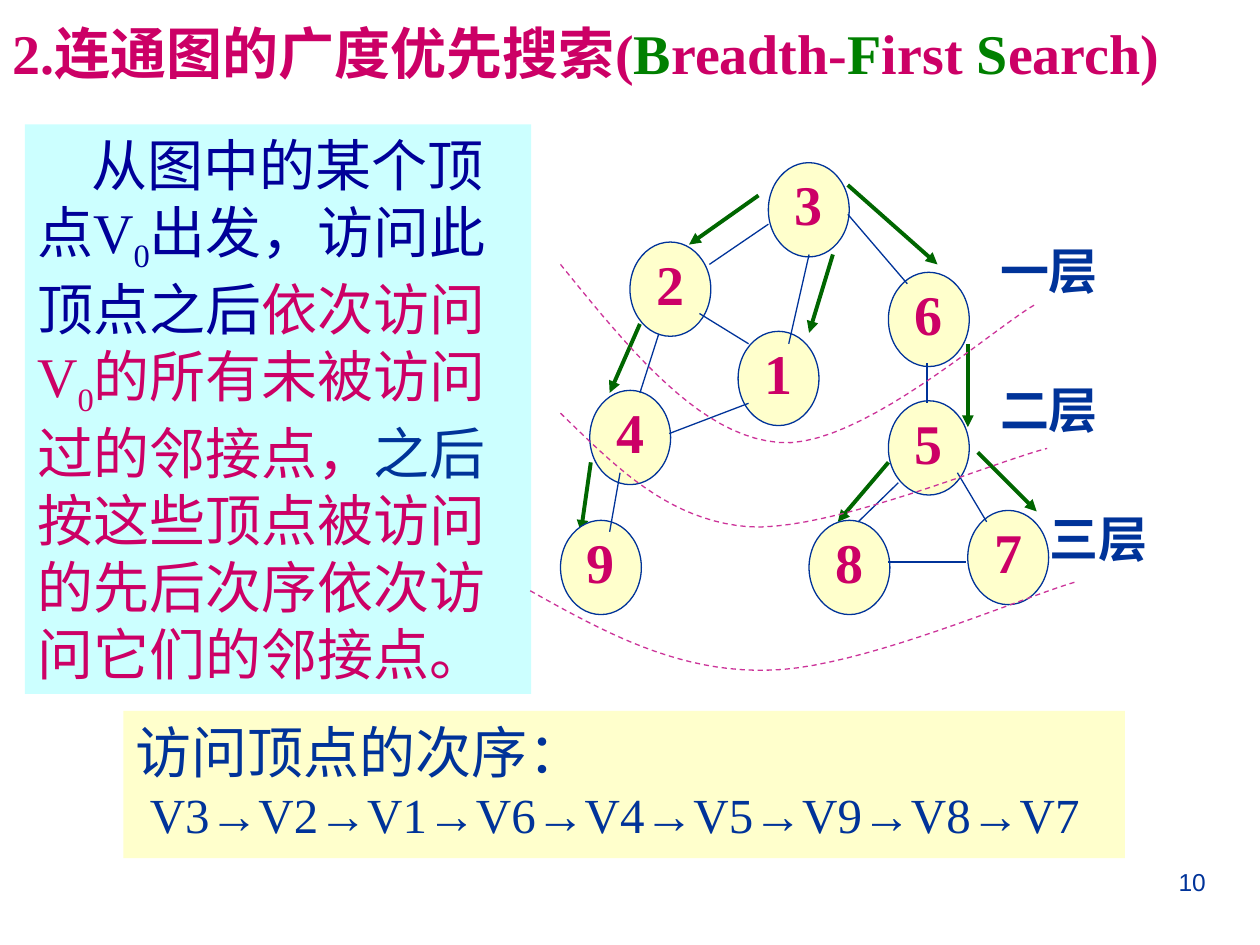
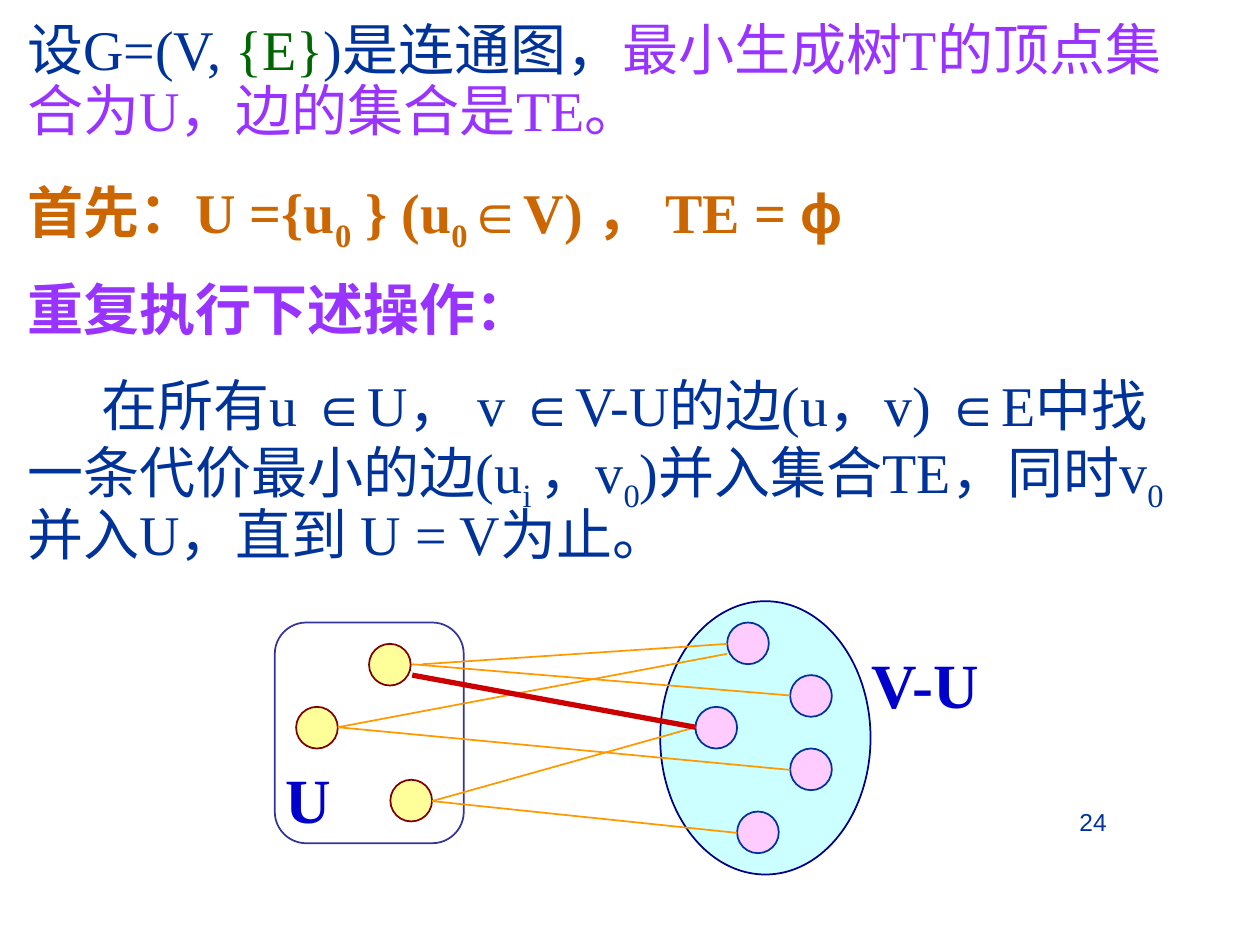
import typing

import pptx
import pptx.dml.color
import pptx.enum.dml
import pptx.enum.shapes
import pptx.enum.text
import pptx.oxml
import pptx.oxml.ns
import pptx.util

Cm = pptx.util.Cm
Pt = pptx.util.Pt
RGBColor = pptx.dml.color.RGBColor
SHAPE = pptx.enum.shapes.MSO_SHAPE
ALIGN = pptx.enum.text.PP_ALIGN
ANCHOR = pptx.enum.text.MSO_ANCHOR

BLUE = RGBColor(0x00, 0x33, 0x99)
NAVY = RGBColor(0x00, 0x00, 0x99)
DARK_NAVY = RGBColor(0x00, 0x00, 0x82)
INDIGO = RGBColor(0x33, 0x33, 0x99)
BRIGHT_BLUE = RGBColor(0x00, 0x00, 0xCC)
CRIMSON = RGBColor(0xCC, 0x00, 0x66)
MAGENTA = RGBColor(0xCC, 0x33, 0x99)
PURPLE = RGBColor(0x99, 0x33, 0xFF)
GREEN = RGBColor(0x00, 0x80, 0x00)
DARK_GREEN = RGBColor(0x00, 0x66, 0x00)
BROWN = RGBColor(0xCC, 0x66, 0x00)
ORANGE = RGBColor(0xFF, 0x99, 0x00)
RED = RGBColor(0xCC, 0x00, 0x00)
MAROON = RGBColor(0x80, 0x00, 0x00)
CYAN = RGBColor(0xCC, 0xFF, 0xFF)
CREAM = RGBColor(0xFF, 0xFF, 0xCC)
YELLOW = RGBColor(0xFF, 0xFF, 0x99)
PINK = RGBColor(0xFF, 0xCC, 0xFF)
WHITE = RGBColor(0xFF, 0xFF, 0xFF)

TIMES = "Times New Roman"
ARIAL = "Arial"
CHINESE = "Noto Sans CJK SC"


class Run(typing.NamedTuple):
    """A piece of text with its look."""

    text: str
    color: RGBColor
    bold: bool = False
    font: str = TIMES
    subscript: bool = False
    size: float = 32


class Paragraph(typing.NamedTuple):
    """Runs with their paragraph format."""

    runs: list
    align: ALIGN = ALIGN.LEFT
    indent: float = 0
    spacing: float = 1
    before: float = 0


class Deck:
    """Holds the presentation, the shared style and the current slide."""

    def __init__(self):
        self.presentation = pptx.Presentation()
        self.presentation.slide_width = Cm(25.4)
        self.presentation.slide_height = Cm(19.05)
        self.slide = None

    def new_slide(self):
        self.slide = self.presentation.slides.add_slide(self.presentation.slide_layouts[6])

    def fill_text(self, shape, paragraphs, anchor=ANCHOR.TOP, wrap=True):
        frame = shape.text_frame
        frame.word_wrap = wrap
        frame.vertical_anchor = anchor
        for index, content in enumerate(paragraphs):
            paragraph = frame.add_paragraph() if index else frame.paragraphs[0]
            paragraph.alignment = content.align
            paragraph.line_spacing = content.spacing
            paragraph.space_before = Pt(content.before)
            if content.indent:
                paragraph._p.get_or_add_pPr().set("indent", str(Cm(content.indent)))
            for piece in content.runs:
                self.add_run(paragraph, piece)

    def add_run(self, paragraph, piece):
        run = paragraph.add_run()
        run.text = piece.text
        run.font.size = Pt(piece.size)
        run.font.bold = piece.bold
        run.font.name = piece.font
        run.font.color.rgb = piece.color
        properties = run._r.get_or_add_rPr()
        if piece.subscript:
            properties.set("baseline", "-25000")
        east_asian = pptx.oxml.parse_xml(
            f'<a:ea {pptx.oxml.ns.nsdecls("a")} typeface="{CHINESE}"/>')
        properties.find(pptx.oxml.ns.qn("a:latin")).addnext(east_asian)

    def text(self, left, top, width, height, paragraphs, **layout):
        box = self.slide.shapes.add_textbox(Cm(left), Cm(top), Cm(width), Cm(height))
        self.fill_text(box, paragraphs, **layout)

    def page_number(self, left, top, number):
        run = Run(number, BLUE, font=ARIAL, size=14)
        self.text(left, top, 6.35, 1.32, [Paragraph([run], ALIGN.RIGHT)])

    def shape(self, kind, left, top, width, height, fill, line=None, weight=1.0):
        shape = self.slide.shapes.add_shape(kind, Cm(left), Cm(top), Cm(width), Cm(height))
        shape.shadow.inherit = False
        shape.fill.solid()
        shape.fill.fore_color.rgb = fill
        if line is None:
            shape.line.fill.background()
        else:
            shape.line.color.rgb = line
            shape.line.width = Pt(weight)
        return shape

    def line(self, start_x, start_y, end_x, end_y, color, weight, arrow=False):
        connector = self.slide.shapes.add_connector(
            pptx.enum.shapes.MSO_CONNECTOR.STRAIGHT,
            Cm(start_x), Cm(start_y), Cm(end_x), Cm(end_y))
        connector.line.color.rgb = color
        connector.line.width = Pt(weight)
        properties = connector._element.spPr
        namespace = pptx.oxml.ns.nsdecls("a")
        if arrow:
            properties.get_or_add_ln().append(
                pptx.oxml.parse_xml(f'<a:tailEnd {namespace} type="triangle"/>'))
        properties.append(pptx.oxml.parse_xml(f"<a:effectLst {namespace}/>"))

    def dashed_curve(self, points, color):
        steps = 20
        outline = [points[0]]
        for first in range(0, len(points) - 1, 3):
            segment = points[first:first + 4]
            for step in range(1, steps + 1):
                t = step / steps
                weights = ((1 - t) ** 3, 3 * t * (1 - t) ** 2, 3 * t ** 2 * (1 - t), t ** 3)
                outline.append(tuple(
                    sum(w * point[axis] for w, point in zip(weights, segment))
                    for axis in (0, 1)))
        outline = [(Cm(x), Cm(y)) for x, y in outline]
        builder = self.slide.shapes.build_freeform(*outline[0])
        builder.add_line_segments(outline[1:], close=False)
        curve = builder.convert_to_shape()
        curve.shadow.inherit = False
        curve.fill.background()
        curve.line.color.rgb = color
        curve.line.width = Pt(0.75)
        curve.line.dash_style = pptx.enum.dml.MSO_LINE.DASH


def build_search_slide(deck):
    """Breadth-first search with its graph and layers."""
    deck.new_slide()
    deck.page_number(18.21, 17.35, "10")
    panel = deck.shape(SHAPE.RECTANGLE, 0.5, 2.51, 10.21, 11.48, CYAN)
    deck.fill_text(panel, [Paragraph([
        Run("从图中的某个顶点V", NAVY), Run("0", NAVY, subscript=True),
        Run("出发，访问此顶点之后", NAVY),
        Run("依次访问V", CRIMSON), Run("0", CRIMSON, subscript=True),
        Run("的所有未被访问过的邻接点，", CRIMSON), Run("之后", BLUE),
        Run("按这些顶点被访问的先后次序依次访问它们的邻接点。", CRIMSON),
    ], indent=1.1)])
    title = [("2.连通图的广度优先搜索(", CRIMSON), ("B", GREEN), ("readth-", CRIMSON),
             ("F", GREEN), ("irst ", CRIMSON), ("S", GREEN), ("earch)", CRIMSON)]
    deck.text(0, 0, 24.89, 2.11, [Paragraph([Run(text, color, True) for text, color in title])],
              anchor=ANCHOR.MIDDLE)

    visits = [
        (15.29, 3.94, 13.89, 4.93), (17.09, 3.73, 18.9, 5.33), (16.79, 5.13, 16.31, 6.71),
        (12.9, 6.53, 12.29, 7.92), (19.51, 6.93, 19.51, 8.61), (11.91, 9.32, 11.71, 10.72),
        (17.91, 9.32, 16.89, 10.52), (19.71, 9.12, 20.9, 10.31),
    ]
    for visit in visits:
        deck.line(*visit, DARK_GREEN, 2.25, arrow=True)

    for label, left, top in [("一层", 19.91, 4.72), ("二层", 19.91, 7.52), ("三层", 20.9, 10.13)]:
        run = Run(label, BLUE, True, CHINESE, size=28)
        deck.text(left, top, 2.79, 1.45, [Paragraph([run])])

    order = deck.shape(SHAPE.RECTANGLE, 2.49, 14.33, 20.19, 2.97, CREAM)
    deck.fill_text(order, [
        Paragraph([Run("访问顶点的次序：", BLUE)]),
        Paragraph([Run("V3→V2→V1→V6→V4→V5→V9→V8→V7", BLUE, size=28)], indent=0.28),
    ])

    vertices = {
        "3": (15.49, 3.28), "6": (17.91, 5.49), "7": (19.51, 10.29),
        "9": (11.3, 10.49), "8": (16.31, 10.49), "4": (11.89, 7.87),
        "1": (14.88, 6.68), "2": (12.7, 4.88), "5": (17.91, 8.08),
    }
    for name, (left, top) in vertices.items():
        vertex = deck.shape(SHAPE.OVAL, left, top, 1.63, 1.9, CREAM, BLUE, 0.75)
        label = Paragraph([Run(name, CRIMSON, True)], ALIGN.CENTER, spacing=0.8)
        deck.fill_text(vertex, [label], anchor=ANCHOR.MIDDLE)

    edges = [
        (15.49, 4.52, 14.3, 5.33), (16.31, 5.13, 15.9, 6.93), (14.1, 6.32, 15.09, 6.93),
        (13.28, 6.73, 12.9, 7.92), (12.5, 9.53, 12.29, 10.72), (15.09, 8.13, 13.49, 8.74),
        (17.09, 4.32, 18.29, 5.72), (18.69, 7.32, 18.69, 8.13), (18.11, 9.73, 17.3, 10.52),
        (17.91, 11.33, 19.48, 11.33), (19.3, 9.53, 19.89, 10.52),
    ]
    for edge in edges:
        deck.line(*edge, BLUE, 0.75)

    layer_borders = [
        [(11.3, 5.33), (12.7, 7.06), (14.1, 8.79), (15.7, 8.92),
         (17.3, 9.07), (20.04, 6.6), (20.9, 6.12)],
        [(11.3, 8.33), (12.4, 9.4), (13.46, 10.49), (15.09, 10.62),
         (16.74, 10.72), (20.07, 9.3), (21.11, 9.04)],
        [(10.69, 11.91), (12.19, 12.75), (13.67, 13.56), (15.49, 13.51),
         (17.32, 13.49), (20.68, 12.01), (21.69, 11.73)],
    ]
    for border in layer_borders:
        deck.dashed_curve(border, MAGENTA)


def build_spanning_tree_slide(deck):
    """Minimum spanning tree steps with the two vertex sets."""
    deck.new_slide()
    deck.page_number(16.21, 16.15, "24")
    deck.shape(SHAPE.OVAL, 13.31, 12.12, 4.24, 5.51, CYAN, DARK_NAVY)
    deck.text(17.32, 12.88, 2.97, 1.78, [Paragraph([Run("V-U", BRIGHT_BLUE, True, size=36)])])
    deck.shape(SHAPE.ROUNDED_RECTANGLE, 5.54, 12.55, 3.81, 4.45, WHITE, INDIGO)
    deck.text(5.51, 15.21, 1.42, 1.78, [Paragraph([Run("U", BRIGHT_BLUE, True, size=36)])],
              wrap=False)

    member = Run("∈", BLUE, font=ARIAL)
    zero = Run("0", BLUE, subscript=True)
    bold_zero = Run("0", BROWN, True, subscript=True)
    deck.text(0.3, 0.33, 24.21, 11.43, [
        Paragraph([
            Run("设G=(V, ", BLUE), Run("{E}", DARK_GREEN), Run(")是连通图，", BLUE),
            Run("最小生成树T的顶点集合为U，边的集合是TE。", PURPLE),
        ], spacing=0.9),
        Paragraph([
            Run("首先：U ={u", BROWN, True), bold_zero, Run(" } (u", BROWN, True), bold_zero,
            Run("∈", BROWN, True, ARIAL), Run("V) ， TE = ", BROWN, True),
            Run("ϕ", BROWN, True, ARIAL),
        ], spacing=0.9, before=20),
        Paragraph([Run("重复执行下述操作：", PURPLE, True)], spacing=0.9, before=20),
        Paragraph([
            Run("在所有u ", BLUE), member, Run("U， v ", BLUE), member,
            Run("V-U的边(u，v) ", BLUE), member, Run("E中找一条代价最小的边(u", BLUE),
            Run("i ", BLUE, subscript=True), Run("，v", BLUE), zero,
            Run(")并入集合TE，同时v", BLUE), zero, Run("并入U，直到 U = V为止。", BLUE),
        ], indent=1.5, spacing=0.9, before=20),
    ])

    inside = [(7.44, 12.98), (5.97, 14.25), (7.87, 15.72)]
    outside = [(14.66, 12.55), (15.93, 13.61), (14.86, 16.36), (14.02, 14.25), (15.93, 15.09)]
    for corners, fill, line in [(inside, YELLOW, MAROON), (outside, PINK, BLUE)]:
        for left, top in corners:
            deck.shape(SHAPE.OVAL, left, top, 0.84, 0.84, fill, line)

    lightest = (8.31, 13.61, 14.02, 14.66)
    crossing_edges = [
        (8.51, 13.39, 14.66, 12.98), (6.81, 14.66, 15.93, 15.52), (8.71, 16.15, 14.86, 16.79),
        (8.71, 16.15, 14.02, 14.66), (8.31, 13.39, 15.93, 14.02), (6.81, 14.66, 14.66, 13.18),
        lightest,
    ]
    for edge in crossing_edges:
        deck.line(*edge, ORANGE, 1)
    deck.line(*lightest, RED, 3)


def main():
    """Build both slides and save them."""
    deck = Deck()
    build_search_slide(deck)
    build_spanning_tree_slide(deck)
    deck.presentation.save("out.pptx")


if __name__ == "__main__":
    main()
